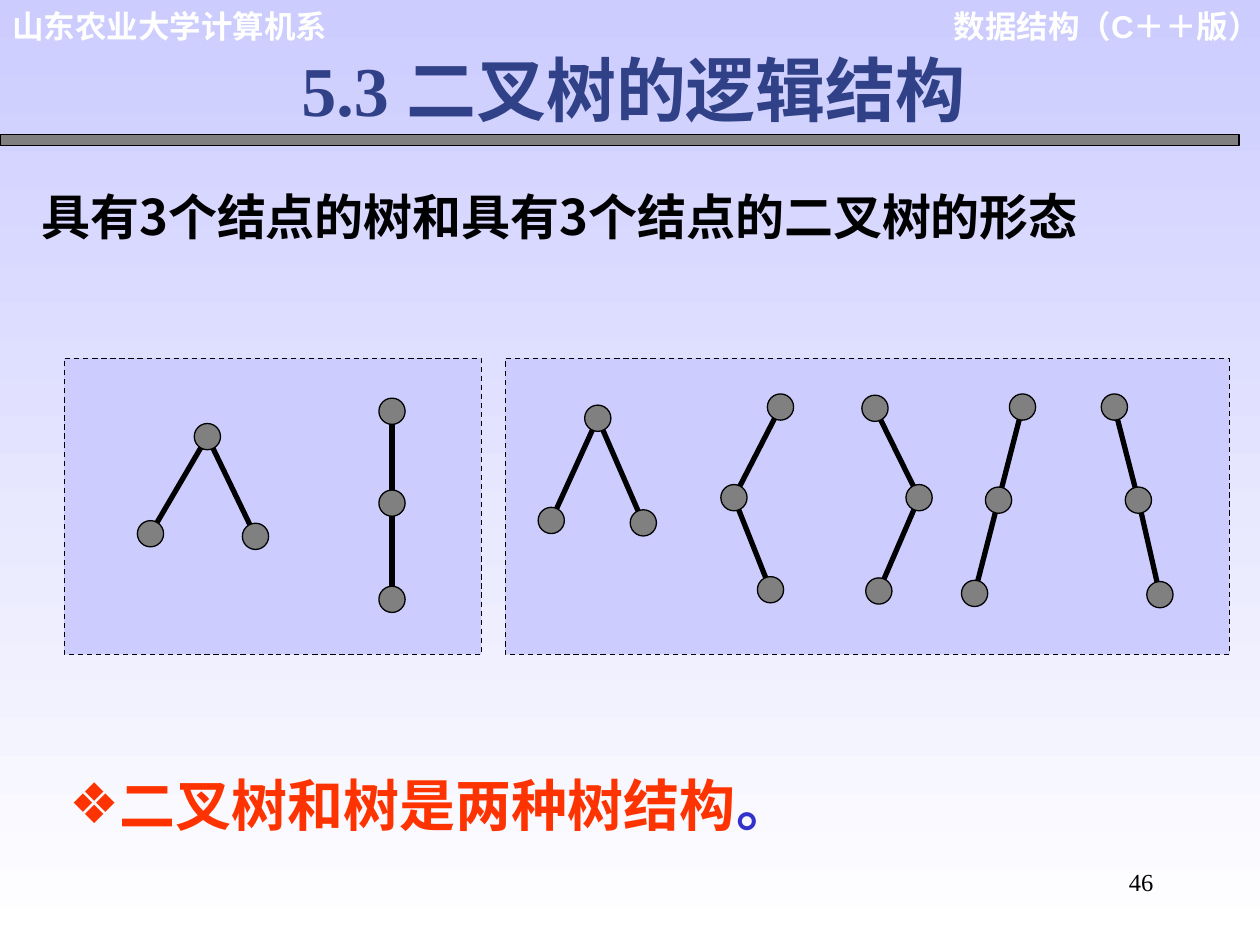
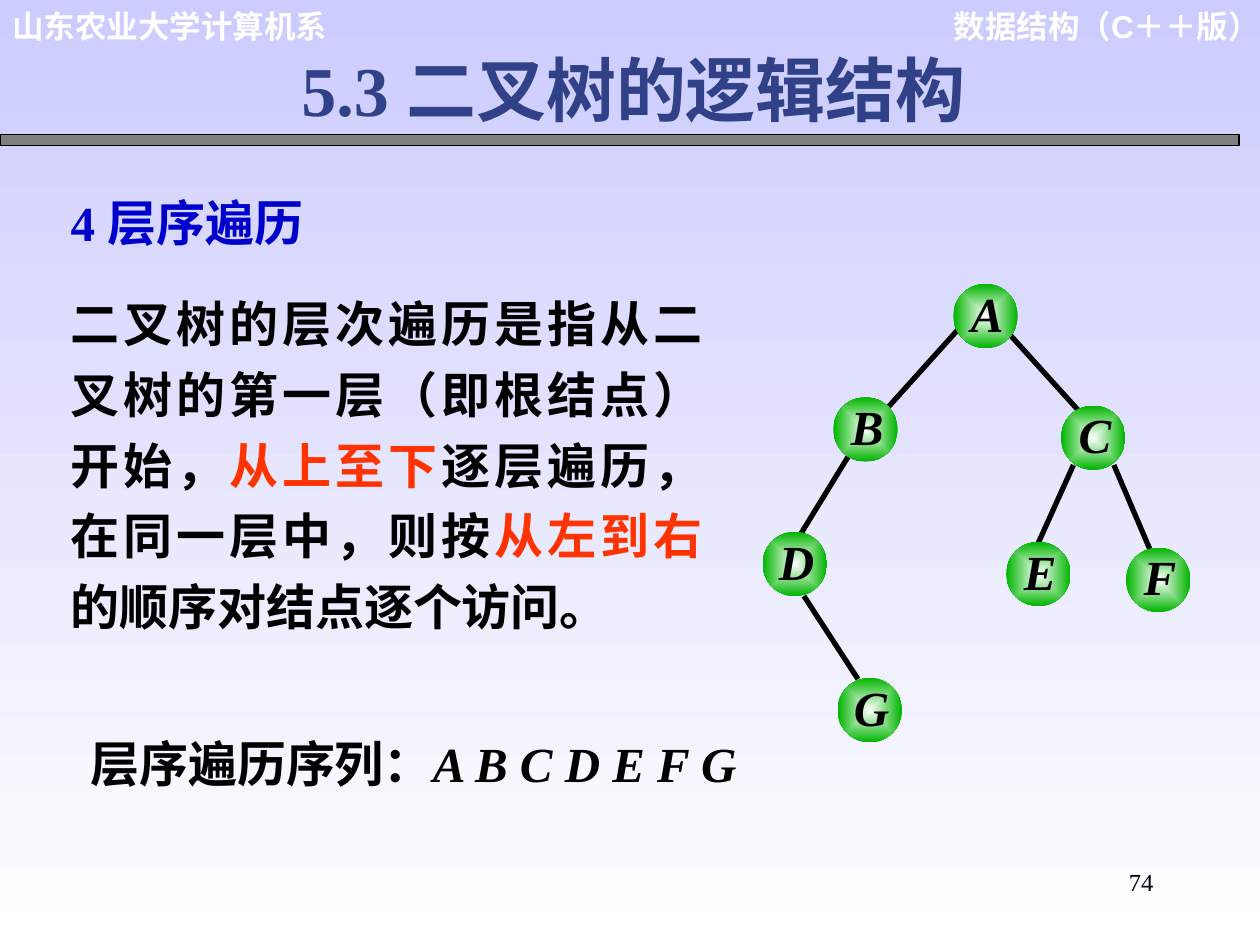
"""Builds two lecture slides on the logical structure of binary trees."""
from dataclasses import dataclass
from itertools import pairwise

from lxml import etree
from pptx import Presentation
from pptx.dml.color import RGBColor
from pptx.enum.dml import MSO_LINE
from pptx.enum.shapes import MSO_CONNECTOR, MSO_SHAPE
from pptx.enum.text import MSO_ANCHOR, MSO_AUTO_SIZE, PP_ALIGN
from pptx.oxml.ns import qn
from pptx.util import Pt

LEFT, RIGHT, CENTER, JUSTIFY = PP_ALIGN.LEFT, PP_ALIGN.RIGHT, PP_ALIGN.CENTER, PP_ALIGN.JUSTIFY
TOP, MIDDLE = MSO_ANCHOR.TOP, MSO_ANCHOR.MIDDLE
OVAL, RECTANGLE = MSO_SHAPE.OVAL, MSO_SHAPE.RECTANGLE
STRAIGHT, DASH, NO_FIT = MSO_CONNECTOR.STRAIGHT, MSO_LINE.DASH, MSO_AUTO_SIZE.NONE


@dataclass(frozen=True)
class Theme:
    lavender: str = "CCCCFF"
    white: str = "FFFFFF"
    black: str = "000000"
    grey: str = "808080"
    navy: str = "314187"
    blue: str = "0000CC"
    stop_blue: str = "3333CC"
    red: str = "FF3300"
    green: str = "00B400"
    serif: str = "Times New Roman"
    sans: str = "Arial"
    chinese: str = "Noto Sans CJK SC"
    title_size: int = 40
    point_size: int = 32
    text_size: int = 28
    header_size: int = 18
    number_size: int = 14
    edge_width: float = 3
    outline_width: float = 0.75


theme = Theme()


def write(shape, paragraphs, size, font=theme.serif, align=LEFT, line=1.0,
          before=0, anchor=TOP, bold=True, italic=False):
    """Fill a shape with paragraphs, each a list of (text, colour) runs."""
    frame = shape.text_frame
    frame.word_wrap, frame.auto_size, frame.vertical_anchor = True, NO_FIT, anchor
    for index, pieces in enumerate(paragraphs):
        paragraph = frame.add_paragraph() if index else frame.paragraphs[0]
        paragraph.alignment, paragraph.line_spacing = align, line
        paragraph.space_before = Pt(before if index else 0)
        for text, colour in pieces:
            run = paragraph.add_run()
            run.text = text
            run.font.name, run.font.size = font, Pt(size)
            run.font.bold, run.font.italic = bold, italic
            run.font.color.rgb = RGBColor.from_string(colour)
            etree.SubElement(run.font._element, qn("a:ea"), typeface=theme.chinese)


def draw(slide, box, preset=None, fill=None):
    """Draw a filled preset shape or, without a preset, a thick tree edge."""
    lengths = [Pt(value) for value in box]
    if preset is None:
        shape = slide.shapes.add_connector(STRAIGHT, *lengths)
        etree.SubElement(shape._element.spPr, qn("a:effectLst"))
    else:
        shape = slide.shapes.add_shape(preset, *lengths)
        shape.shadow.inherit = False
        shape.fill.solid()
        shape.fill.fore_color.rgb = RGBColor.from_string(fill)
    shape.line.color.rgb = RGBColor.from_string(theme.black)
    shape.line.width = Pt(theme.edge_width if preset is None else theme.outline_width)
    return shape


deck = Presentation()
deck.slide_width, deck.slide_height = Pt(720), Pt(540)

slides = []
for number, body_box in (("46", (32.4, 436, 557.3, 46)), ("74", (33.1, 99.6, 375.8, 267))):
    slide = deck.slides.add_slide(deck.slide_layouts[1])
    slides.append(slide)
    backdrop = slide.background.fill
    backdrop.gradient()
    backdrop.gradient_angle = 270
    for stop, colour in zip(backdrop.gradient_stops, (theme.lavender, theme.white)):
        stop.color.rgb = RGBColor.from_string(colour)

    for text, box, align in (("数据结构（C＋＋版）", (532, 0, 195, 50.4), RIGHT),
                             ("山东农业大学计算机系", (0, 0, 195, 28.8), LEFT)):
        header = slide.shapes.add_textbox(*map(Pt, box))
        write(header, [[(text, theme.white)]], theme.header_size, theme.sans, align, Pt(22))
    draw(slide, (0, 77, 708, 6), RECTANGLE, theme.grey)
    page = slide.shapes.add_textbox(Pt(516.2), Pt(491.8), Pt(150), Pt(36))
    write(page, [[(number, theme.black)]], theme.number_size, align=RIGHT, bold=False)

    title, body = slide.placeholders
    for placeholder, box in ((title, (165, 22, 459.4, 55.4)), (body, body_box)):
        placeholder.left, placeholder.top, placeholder.width, placeholder.height = map(Pt, box)
    write(title, [[("5.3 二叉树的逻辑结构", theme.navy)]], theme.title_size, line=Pt(49))

shapes_slide, traversal_slide = slides

heading = shapes_slide.shapes.add_textbox(Pt(16.6), Pt(89), Pt(632), Pt(68.4))
write(heading, [[("具有3个结点的树和具有3个结点的二叉树的形态", theme.black)]],
      theme.text_size, theme.chinese, line=Pt(34), anchor=MIDDLE)

for panel_box in ((36.7, 204.8, 238.3, 169.2), (288.7, 204.8, 414, 169.2)):
    panel = draw(shapes_slide, panel_box, RECTANGLE, theme.lavender)
    panel.line.dash_style = DASH

small_node = 15
small_trees = (
    ((86, 305), (118.5, 249.5), (146, 306.5)),
    ((224, 235), (224, 287.5), (224, 342.5)),
    ((315, 297.4), (341.6, 239), (367.6, 298.8)),
    ((446, 232.6), (419.4, 284.4), (440.3, 337)),
    ((500, 233.3), (525.2, 284.4), (502.2, 337.7)),
    ((584.3, 232.6), (570.6, 285.8), (556.9, 339.1)),
    ((636.8, 232.6), (650.5, 285.8), (662.8, 339.8)),
)
for centres in small_trees:
    for start, end in pairwise(centres):
        draw(shapes_slide, start + end)
    for x, y in centres:
        node_box = (x - small_node / 2, y - small_node / 2, small_node, small_node)
        draw(shapes_slide, node_box, OVAL, theme.grey)

conclusion = shapes_slide.placeholders[1]
properties = conclusion.text_frame.paragraphs[0]._p.get_or_add_pPr()
properties.set("marL", str(Pt(28)))
properties.set("indent", str(-Pt(28)))
bullet_colour = etree.SubElement(properties, qn("a:buClr"))
etree.SubElement(bullet_colour, qn("a:srgbClr"), val=theme.red)
etree.SubElement(properties, qn("a:buChar"), char="❖")
write(conclusion, [[("二叉树和树是两种树结构", theme.red), ("。", theme.stop_blue)]],
      theme.point_size, line=Pt(39))

explanation = traversal_slide.placeholders[1]
write(explanation, [
    [("4 层序遍历", theme.blue)],
    [("二叉树的层次遍历是指从二叉树的第一层（即根结点）开始，", theme.black),
     ("从上至下", theme.red),
     ("逐层遍历，在同一层中，则按", theme.black),
     ("从左到右", theme.red),
     ("的顺序对结点逐个访问。", theme.black)],
], theme.text_size, align=JUSTIFY, line=Pt(40.4), before=17.5)
for paragraph in explanation.text_frame.paragraphs:
    properties = paragraph._p.get_or_add_pPr()
    properties.set("marL", "0")
    properties.set("indent", "0")
    etree.SubElement(properties, qn("a:buNone"))

sequence = traversal_slide.shapes.add_textbox(Pt(44.6), Pt(415.2), Pt(403.2), Pt(41))
write(sequence, [[("层序遍历序列：", theme.black), ("A B C D E F G", theme.black)]],
      theme.text_size, line=Pt(34))
sequence.text_frame.paragraphs[0].runs[1].font.italic = True

branches = (
    (547.2, 188.6, 507.6, 232.6), (576.7, 190.8, 617, 235.4), (485.3, 259.9, 457.9, 304.6),
    (459.4, 340.6, 490.3, 388.1), (613.4, 265.7, 593.3, 310.3), (636.5, 265.7, 657.4, 314.6),
)
for branch in branches:
    draw(traversal_slide, branch)

large_node = 36.8
letters = {"A": (544.8, 162.2), "B": (476.2, 227), "C": (606.3, 231.8), "D": (435.8, 303.9),
           "E": (575, 309.6), "F": (643.5, 313), "G": (478.6, 387.4)}
for letter, (left, top) in letters.items():
    node = draw(traversal_slide, (left, top, large_node, large_node), OVAL, theme.green)
    node.line.fill.background()
    node.fill.gradient()
    for stop, colour in zip(node.fill.gradient_stops, (theme.white, theme.green)):
        stop.color.rgb = RGBColor.from_string(colour)
    gradient = node._element.spPr.find(qn("a:gradFill"))
    gradient.remove(gradient.find(qn("a:lin")))
    glow = etree.SubElement(gradient, qn("a:path"), {"path": "rect"})
    etree.SubElement(glow, qn("a:fillToRect"), dict.fromkeys("ltrb", "50000"))
    frame = node.text_frame
    frame.margin_left, frame.margin_right = Pt(2), 0
    frame.margin_top, frame.margin_bottom = 0, Pt(4)
    write(node, [[(letter, theme.black)]], theme.text_size, align=CENTER, anchor=MIDDLE,
          italic=True)

deck.save("out.pptx")
